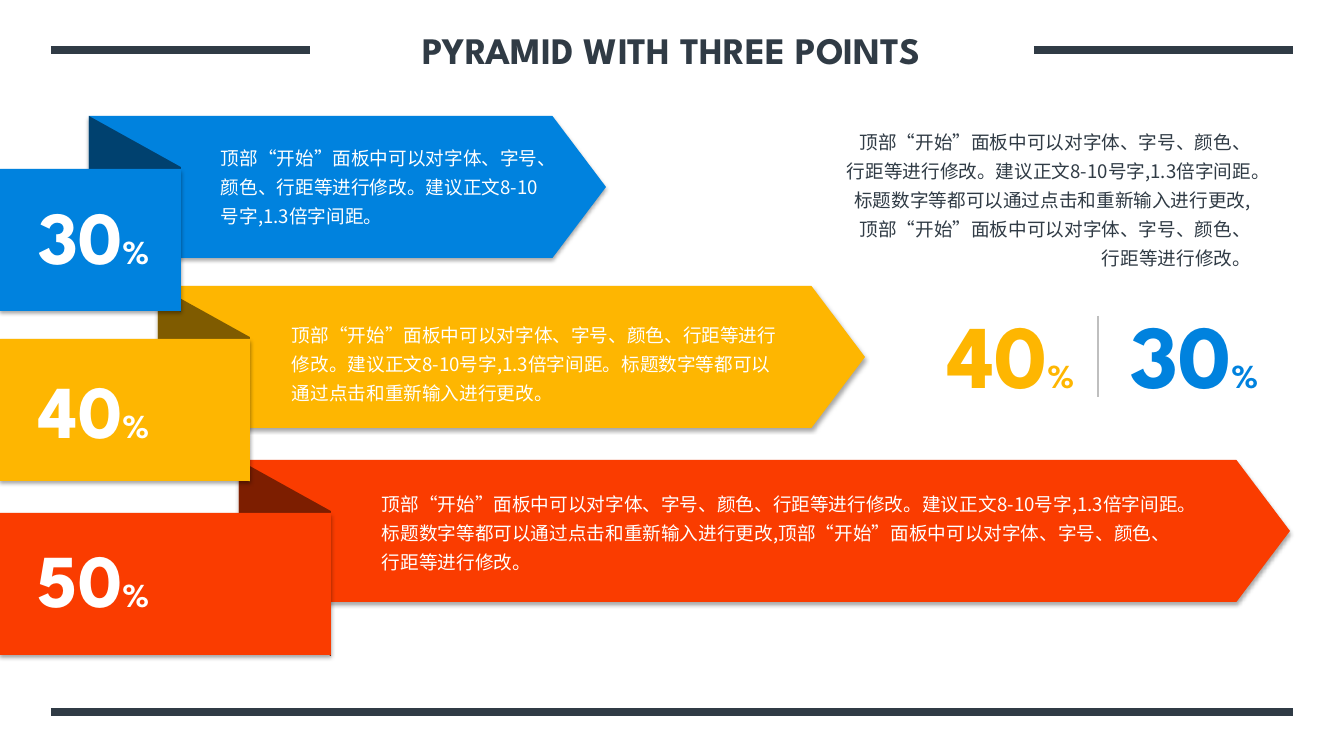
from lxml import etree
from pptx import Presentation
from pptx.dml.color import RGBColor
from pptx.enum.shapes import MSO_CONNECTOR, MSO_SHAPE
from pptx.enum.text import MSO_ANCHOR, MSO_AUTO_SIZE, PP_ALIGN
from pptx.oxml import parse_xml
from pptx.oxml.ns import nsdecls, qn
from pptx.util import Pt

RECT, ARROW, FOLD = MSO_SHAPE.RECTANGLE, MSO_SHAPE.PENTAGON, MSO_SHAPE.PARALLELOGRAM
LEFT, CENTER, RIGHT = PP_ALIGN.LEFT, PP_ALIGN.CENTER, PP_ALIGN.RIGHT
MIDDLE, GROW, STRAIGHT = MSO_ANCHOR.MIDDLE, MSO_AUTO_SIZE.SHAPE_TO_FIT_TEXT, MSO_CONNECTOR.STRAIGHT

EMU_PER_PIXEL = 914400 / 100.8
HEADING_FONT, BODY_FONT = "League Spartan", "Noto Sans CJK SC"
DARK, WHITE, GRAY = "303B45", "FFFFFF", "BFBFBF"
BLUE, YELLOW, RED = "0082DE", "FEB601", "FA3C00"
SHADOW = (f'<a:effectLst {nsdecls("a")}><a:outerShdw blurRad="39370" dist="22860" dir="5400000" '
          'algn="t" rotWithShape="0"><a:srgbClr val="000000"><a:alpha val="35000"/></a:srgbClr>'
          '</a:outerShdw></a:effectLst>')


def px(*lengths):
    return [round(length * EMU_PER_PIXEL) for length in lengths]


def color(hex_value):
    return RGBColor.from_string(hex_value)


class Page:
    def __init__(self, slide):
        self.slide = slide

    def style(self, paragraph, font_name, hex_value, align, size=None, bold=False):
        paragraph.alignment = align
        font = paragraph.font
        font.name, font.bold = font_name, bold
        font.color.rgb = color(hex_value)
        if size:
            font.size = Pt(size)
        east_asian = etree.SubElement(font._element, qn("a:ea"))
        east_asian.set("typeface", font_name)

    def title(self, text, box):
        title = self.slide.shapes.title
        title.left, title.top, title.width, title.height = px(*box)
        title.text_frame.vertical_anchor = MIDDLE
        title.text_frame.text = text
        self.style(title.text_frame.paragraphs[0], HEADING_FONT, DARK, CENTER, 26.7, True)

    def line(self, start, end, hex_value, width):
        line = self.slide.shapes.add_connector(STRAIGHT, *px(*start, *end))
        line.line.color.rgb = color(hex_value)
        line.line.width = Pt(width)
        etree.SubElement(line._element.spPr, qn("a:effectLst"))

    def shape(self, kind, box, hex_value, adjust=None, rotation=0, shadow=False):
        shape = self.slide.shapes.add_shape(kind, *px(*box))
        shape.shadow.inherit = False
        shape.fill.solid()
        shape.fill.fore_color.rgb = color(hex_value)
        shape.line.fill.background()
        shape.rotation = rotation
        if adjust is not None:
            shape.adjustments[0] = adjust
        if shadow:
            properties = shape._element.spPr
            properties.replace(properties.find(qn("a:effectLst")), parse_xml(SHADOW))

    def text_frame(self, box, wrap):
        frame = self.slide.shapes.add_textbox(*px(*box)).text_frame
        frame.word_wrap = wrap
        frame.auto_size = GROW
        return frame

    def body(self, text, box, hex_value=WHITE, align=LEFT):
        frame = self.text_frame(box, True)
        frame.text = text
        paragraph = frame.paragraphs[0]
        paragraph.line_spacing = 1.3
        self.style(paragraph, BODY_FONT, hex_value, align, 13.3)

    def percent(self, number, box, size, hex_value=WHITE):
        paragraph = self.text_frame(box, False).paragraphs[0]
        self.style(paragraph, HEADING_FONT, hex_value, RIGHT, bold=True)
        for text, run_size in ((number, size), ("%", 24)):
            run = paragraph.add_run()
            run.text = text
            run.font.size = Pt(run_size)


presentation = Presentation()
presentation.slide_width, presentation.slide_height = px(1344, 756)
page = Page(presentation.slides.add_slide(presentation.slide_layouts[5]))

# Heading and page rules
for start_x, end_x, y in ((51, 310, 50), (1034, 1293, 50), (51, 1293, 712)):
    page.line((start_x, y), (end_x, y), DARK, 6)
page.title("PYRAMID WITH THREE POINTS", (310, 20, 724, 60))

# Folded ribbons, from the bottom one up
SHORT = "顶部“开始”面板中可以对字体、字号、颜色、行距等进行修改。建议正文8-10号字,1.3倍字间距。".replace(",", ",")
MEDIUM = SHORT + "标题数字等都可以通过点击和重新输入进行更改。"
LONG = MEDIUM[:-1] + ",顶部“开始”面板中可以对字体、字号、颜色、行距等进行修改。".replace(",", ",")
BAND, FOLD_WIDTH, FOLD_LENGTH = 142, 92, 196
turn = (FOLD_LENGTH - FOLD_WIDTH) / 2
ribbons = [  # number, colour, fold colour, arrow x, y, width, number y, text, text x, y, width
    ("50", RED, "7D1E00", 239, 460, 1051, 528, LONG, 372, 481, 825),
    ("40", YELLOW, "7F5B00", 158, 286, 707, 359, MEDIUM, 282, 312, 517),
    ("30", BLUE, "00416F", 89, 116, 517, 185, SHORT, 211, 135, 340),
]
for number, fill, fold_fill, x, y, width, number_y, text, text_x, text_y, text_width in ribbons:
    page.shape(ARROW, (x, y, width, BAND), fill, 0.377, shadow=True)
    page.shape(FOLD, (x - turn, y + turn, FOLD_LENGTH, FOLD_WIDTH), fold_fill, 0.555, 270)
    page.shape(RECT, (0, y + 53, x + FOLD_WIDTH, BAND), fill, shadow=True)
    page.percent(number, (25, number_y, 134, 101), 53.3)
    page.body(text, (text_x, text_y, text_width, 99))

# Summary on the right
page.body(LONG, (833, 119, 428, 157), DARK, RIGHT)
for number, x, hex_value in (("30", 1117, BLUE), ("40", 933, YELLOW)):
    page.percent(number, (x, 294, 151, 119), 64, hex_value)
page.line((1098, 316), (1098, 397), GRAY, 1)

presentation.save("out.pptx")
